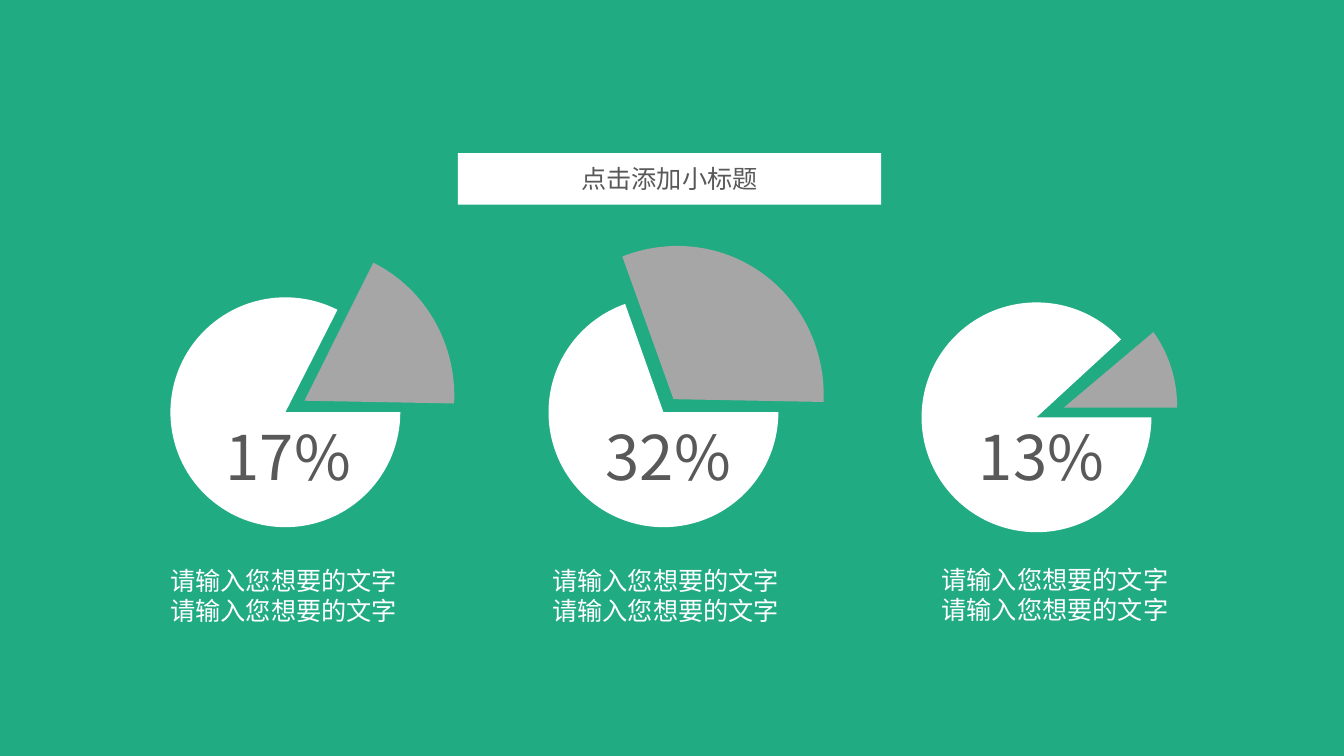
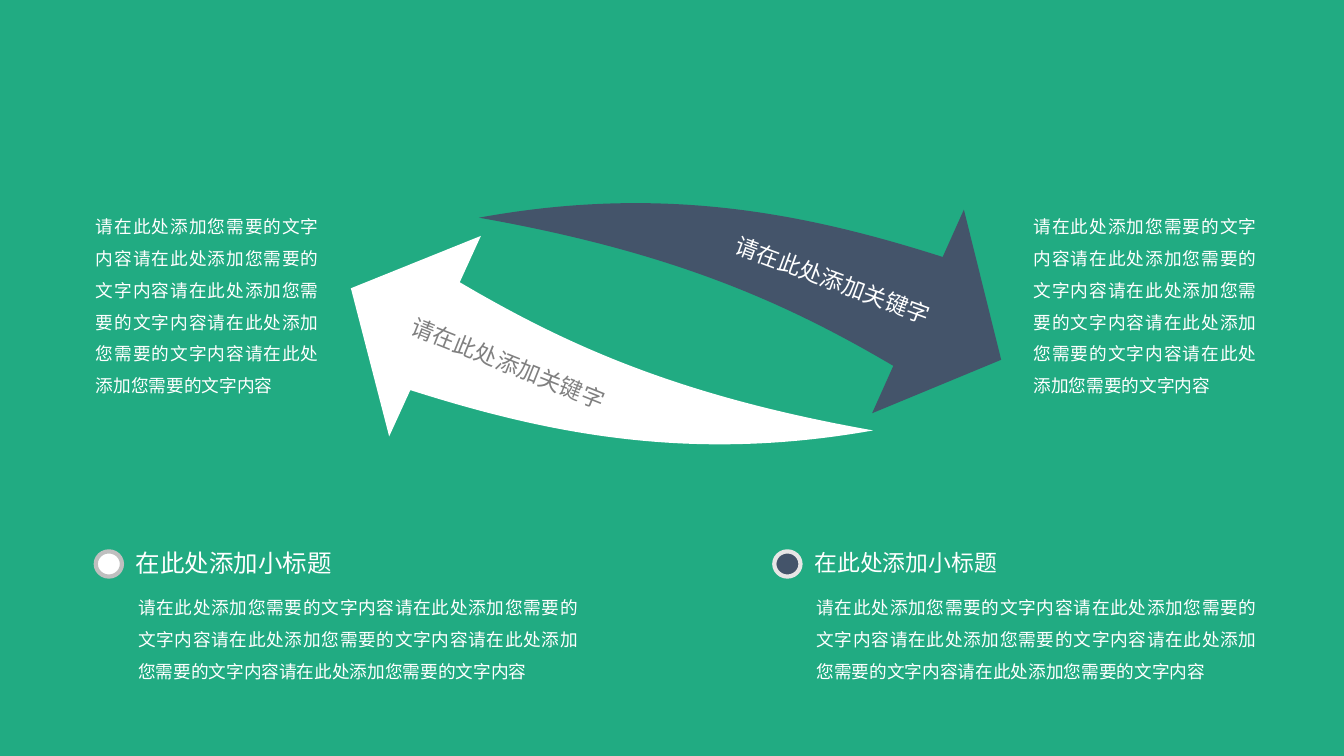
from dataclasses import dataclass

from lxml import etree
from pptx import Presentation
from pptx.dml.color import RGBColor
from pptx.enum import shapes as kinds, text as te
from pptx.oxml import ns
from pptx.util import Inches, Pt


@dataclass(frozen=True)
class Theme:
    green: str = "21AB82"
    white: str = "FFFFFF"
    navy: str = "44546A"
    wedge: str = "A6A6A6"
    dark: str = "595959"
    muted: str = "808080"
    silver: str = "BFBFBF"
    pale: str = "E7E6E6"
    cjk: str = "Noto Sans CJK SC"
    latin: str = "Calibri"
    figure: float = 44
    caption: float = 18
    heading: float = 17.5
    keyword: float = 16.3
    body: float = 12.6


T = Theme()
LEFT, RIGHT = te.PP_ALIGN.LEFT, te.PP_ALIGN.RIGHT
CENTER, JUSTIFY = te.PP_ALIGN.CENTER, te.PP_ALIGN.JUSTIFY
PADDED, FLUSH = 0.1, 0

# Slide 1: pies, angles in degrees clockwise from three o'clock
SUBTITLE = "点击添加小标题"
CAPTION = ["请输入您想要的文字"] * 2
PIE_SIZE = 2.28
SHARES = [
    {"share": "17%", "pie": (1.69, 2.95), "pie_end": 296.96,
     "wedge": (1.49, 2.5, 3.06, 2.95), "sweep": (0, 64.56), "turn": 296.5,
     "share_box": (2.14, 4.11, 1.66, 0.84), "caption_box": (1.59, 5.56, 2.59, 0.71)},
    {"share": "32%", "pie": (5.44, 2.95), "pie_end": 250.53,
     "wedge": (5.15, 2.48, 3.06, 2.96), "sweep": (313.78, 64.56), "turn": 296.5,
     "share_box": (5.91, 4.11, 1.84, 0.84), "caption_box": (5.38, 5.56, 2.57, 0.71)},
    {"share": "13%", "pie": (9.14, 3), "pie_end": 317.38,
     "wedge": (9.34, 2.92, 2.42, 2.25), "sweep": (45.97, 86.04), "turn": 273.9,
     "share_box": (9.61, 4.11, 1.69, 0.84), "caption_box": (9.24, 5.55, 2.54, 0.71)},
]

# Slide 2: each arrow is a tail, an outer curve, a head and an inner curve
KEYWORD = "请在此处添加关键字"
HEADING = "在此处添加小标题"
PARAGRAPH = "请在此处添加您需要的文字内容" * 5
ARROWS = [
    {"tail": (4.75, 2.16), "outer": [(6.56, 1.83), (7.97, 2.11), (9.35, 2.55)],
     "head": [(9.56, 2.08), (9.93, 3.57), (8.65, 4.1), (8.86, 3.63)],
     "inner": [(7.79, 3), (6.67, 2.5)], "fill": T.navy,
     "label_box": (7.23, 2.59, 2.05, 0.37), "tilt": 20.2,
     "label_color": T.white, "label_fill": T.navy, "align": RIGHT},
    {"tail": (8.66, 4.27), "outer": [(6.86, 4.59), (5.45, 4.31), (4.07, 3.87)],
     "head": [(3.86, 4.33), (3.48, 2.86), (4.77, 2.34), (4.56, 2.8)],
     "inner": [(5.63, 3.43), (6.74, 3.93)], "fill": T.white,
     "label_box": (4.02, 3.42, 2.05, 0.37), "tilt": 21.8,
     "label_color": T.muted, "label_fill": None, "align": LEFT},
]
SIDE_LEFTS = (0.95, 10.25)
# left edge, dot fill, ring colour, heading size
NOTES = [(0.95, T.white, T.silver, T.heading), (7.68, T.navy, T.pale, T.keyword)]


def color(code):
    return RGBColor.from_string(code)


def box(values):
    return [Inches(v) for v in values]


def paint(shape, fill, line=None, weight=0):
    shape.shadow.inherit = False
    shape.fill.solid()
    shape.fill.fore_color.rgb = color(fill)
    if line:
        shape.line.color.rgb = color(line)
        shape.line.width = Pt(weight)
    else:
        shape.line.fill.background()


def write(shape, lines, size, ink, face=T.cjk, align=LEFT, pad=PADDED,
          spacing=1.0, wrap=True, anchor=te.MSO_ANCHOR.TOP):
    frame = shape.text_frame
    frame.auto_size = te.MSO_AUTO_SIZE.NONE
    frame.word_wrap = wrap
    frame.vertical_anchor = anchor
    frame.margin_left = frame.margin_right = Inches(pad)
    frame.margin_top = frame.margin_bottom = Inches(0.05)
    for i, line in enumerate(lines):
        paragraph = frame.add_paragraph() if i else frame.paragraphs[0]
        paragraph.alignment = align
        paragraph.line_spacing = spacing
        run = paragraph.add_run()
        run.text = line
        run.font.name = face
        run.font.size = Pt(size)
        run.font.color.rgb = color(ink)
        east_asian = etree.Element(ns.qn("a:ea"), typeface=T.cjk)
        run.font._element.find(ns.qn("a:latin")).addnext(east_asian)


def add_text(slide, place, lines, size, ink, **style):
    label = slide.shapes.add_textbox(*box(place))
    write(label, lines, size, ink, **style)
    return label


def add_body(slide, place):
    add_text(slide, place, [PARAGRAPH], T.body, T.white, face=T.latin,
             align=JUSTIFY, pad=FLUSH, spacing=1.5)


def add_pie(slide, place, start, end, fill, turn=0):
    pie = slide.shapes.add_shape(kinds.MSO_SHAPE.PIE, *box(place))
    # Angles are stored in 1/60000 degree, adjustments in 1/100000
    for i, angle in enumerate((start, end)):
        pie.adjustments[i] = angle * 0.6
    pie.rotation = turn
    paint(pie, fill)


def bend(segments):
    """Turn three straight segments into one cubic curve through their points."""
    curve = etree.Element(ns.qn("a:cubicBezTo"))
    segments[0].addprevious(curve)
    for segment in segments:
        curve.append(segment[0])
        segment.getparent().remove(segment)


def add_arrow(slide, arrow):
    tail = arrow["tail"]
    outline = arrow["outer"] + arrow["head"] + arrow["inner"] + [tail]
    builder = slide.shapes.build_freeform(*box(tail))
    builder.add_line_segments([box(point) for point in outline], close=True)
    body = builder.convert_to_shape()
    segments = list(body._element.iter(ns.qn("a:lnTo")))
    bend(segments[:3])
    bend(segments[7:10])
    paint(body, arrow["fill"])
    label = add_text(slide, arrow["label_box"], [KEYWORD], T.keyword,
                     arrow["label_color"], face=T.latin, align=arrow["align"],
                     pad=FLUSH, wrap=False)
    label.rotation = arrow["tilt"]
    if arrow["label_fill"]:
        paint(label, arrow["label_fill"])


def build_shares(prs):
    slide = prs.slides.add_slide(prs.slide_layouts.get_by_name("Title Only"))
    title = slide.shapes.title
    title.left, title.top, title.width, title.height = box((4.54, 1.52, 4.2, 0.51))
    title.fill.solid()
    title.fill.fore_color.rgb = color(T.white)
    write(title, [SUBTITLE], T.caption, T.dark, align=CENTER,
          anchor=te.MSO_ANCHOR.MIDDLE)
    for item in SHARES:
        add_pie(slide, (*item["pie"], PIE_SIZE, PIE_SIZE), 0, item["pie_end"], T.white)
        add_pie(slide, item["wedge"], *item["sweep"], T.wedge, item["turn"])
        add_text(slide, item["share_box"], [item["share"]], T.figure, T.dark)
        add_text(slide, item["caption_box"], CAPTION, T.caption, T.white)


def build_cycle(prs):
    slide = prs.slides.add_slide(prs.slide_layouts.get_by_name("Blank"))
    for arrow in ARROWS:
        add_arrow(slide, arrow)
    for left in SIDE_LEFTS:
        add_body(slide, (left, 1.99, 2.21, 2))
    for left, fill, ring, size in NOTES:
        dot = slide.shapes.add_shape(kinds.MSO_SHAPE.OVAL, *box((left, 5.47, 0.26, 0.25)))
        paint(dot, fill, ring, 3)
        add_text(slide, (left + 0.3, 5.39, 4.43, 0.4), [HEADING], size, T.white)
        add_body(slide, (left + 0.42, 5.77, 4.36, 1.05))


def main():
    prs = Presentation()
    prs.slide_width, prs.slide_height = Inches(13.33), Inches(7.5)
    backdrop = prs.slide_master.background.fill
    backdrop.solid()
    backdrop.fore_color.rgb = color(T.green)
    build_shares(prs)
    build_cycle(prs)
    prs.save("out.pptx")


if __name__ == "__main__":
    main()
